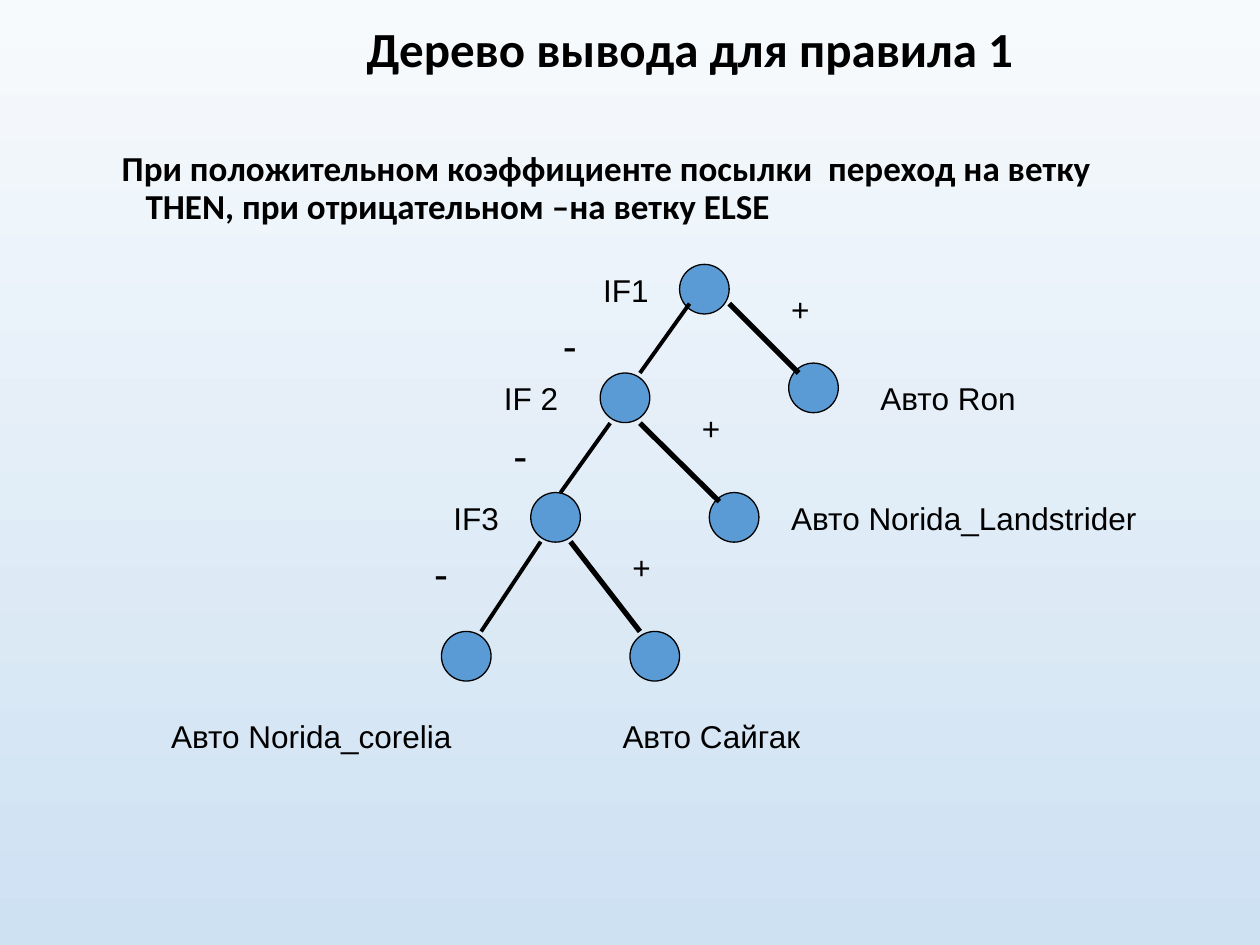
from dataclasses import dataclass

from lxml.etree import SubElement
from pptx import Presentation
from pptx.dml.color import RGBColor
from pptx.enum.shapes import MSO_CONNECTOR, MSO_SHAPE
from pptx.enum.text import MSO_ANCHOR, MSO_AUTO_SIZE, PP_ALIGN
from pptx.oxml.ns import qn
from pptx.slide import Slide
from pptx.util import Cm, Pt

COLORS = {
    "sky_top": "F7FAFD",
    "sky_bottom": "CEE1F2",
    "node": "5B9BD5",
    "ink": "000000",
}
NODE_SIZE = 1
THEN_WIDTH, ELSE_WIDTH = 3, 2.25


@dataclass(frozen=True)
class Node:
    left: float
    top: float


@dataclass(frozen=True)
class Branch:
    x1: float
    y1: float
    x2: float
    y2: float
    width: float


@dataclass(frozen=True)
class Label:
    text: str
    left: float
    top: float
    width: float
    size: float = 18
    space_before: float = 11.2


def plus(left: float, top: float) -> Label:
    return Label("+", left, top, 1)


def minus(left: float, top: float) -> Label:
    return Label("-", left, top, 1.2, 24, 15)


NODES = [
    Node(13.7, 5.33),
    Node(12.1, 7.52),
    Node(10.7, 9.93),
    Node(8.9, 12.73),
    Node(15.9, 7.32),
    Node(12.7, 12.73),
    Node(14.3, 9.93),
]
BRANCHES = [
    Branch(14.7, 6.12, 16.1, 7.52, THEN_WIDTH),
    Branch(12.9, 8.53, 14.5, 10.11, THEN_WIDTH),
    Branch(11.5, 10.92, 12.9, 12.73, THEN_WIDTH),
    Branch(13.9, 6.12, 12.9, 7.52, ELSE_WIDTH),
    Branch(12.3, 8.53, 11.3, 9.93, ELSE_WIDTH),
    Branch(10.9, 10.92, 9.7, 12.73, ELSE_WIDTH),
]
LABELS = [
    Label("IF1", 11.91, 5.33, 1.6),
    Label("IF 2", 9.91, 7.52, 1.8),
    Label("IF3", 8.89, 9.93, 1.6),
    Label("Авто Norida_corelia", 3.2, 14.33, 7.3),
    Label("Авто Сайгак", 12.3, 14.33, 7.8),
    Label("Авто Norida_Landstrider", 15.7, 9.93, 8),
    Label("Авто Ron", 17.5, 7.52, 3.8),
    plus(15.7, 5.72),
    plus(13.9, 8.13),
    plus(12.5, 10.92),
    minus(11.1, 6.32),
    minus(10.1, 8.53),
    minus(8.5, 10.92),
]


def color(name: str) -> RGBColor:
    return RGBColor.from_string(COLORS[name])


def format_runs(paragraph, font: str, size: float, bold: bool = False) -> None:
    for run in paragraph.runs:
        run.font.name = font
        run.font.size = Pt(size)
        run.font.bold = bold
        run.font.color.rgb = color("ink")


def fill_placeholder(placeholder, text: str, box: tuple, size: float):
    placeholder.left, placeholder.top, placeholder.width, placeholder.height = map(Cm, box)
    frame = placeholder.text_frame
    frame.text = text
    frame.auto_size = MSO_AUTO_SIZE.NONE
    paragraph = frame.paragraphs[0]
    paragraph.line_spacing = 0.9
    format_runs(paragraph, "Calibri", size, True)
    return paragraph


def draw_background(slide: Slide) -> None:
    fill = slide.background.fill
    fill.gradient()
    fill.gradient_angle = 270
    for stop, name in zip(fill.gradient_stops, ("sky_top", "sky_bottom")):
        stop.color.rgb = color(name)


def draw_node(slide: Slide, node: Node) -> None:
    circle = slide.shapes.add_shape(
        MSO_SHAPE.OVAL, Cm(node.left), Cm(node.top), Cm(NODE_SIZE), Cm(NODE_SIZE)
    )
    circle.shadow.inherit = False
    circle.fill.solid()
    circle.fill.fore_color.rgb = color("node")
    circle.line.color.rgb = color("ink")
    circle.line.width = Pt(0.75)


def draw_branch(slide: Slide, branch: Branch) -> None:
    ends = map(Cm, (branch.x1, branch.y1, branch.x2, branch.y2))
    connector = slide.shapes.add_connector(MSO_CONNECTOR.STRAIGHT, *ends)
    connector.line.color.rgb = color("ink")
    connector.line.width = Pt(branch.width)
    SubElement(connector._element.spPr, qn("a:effectLst"))


def draw_label(slide: Slide, label: Label) -> None:
    height = 1.02 if label.size == 18 else 1.27
    box = slide.shapes.add_textbox(
        Cm(label.left), Cm(label.top), Cm(label.width), Cm(height)
    )
    frame = box.text_frame
    frame.word_wrap = True
    frame.auto_size = MSO_AUTO_SIZE.SHAPE_TO_FIT_TEXT
    frame.text = label.text
    paragraph = frame.paragraphs[0]
    paragraph.space_before = Pt(label.space_before)
    format_runs(paragraph, "Arial", label.size)


def main() -> None:
    deck = Presentation()
    deck.slide_width, deck.slide_height = Cm(25.4), Cm(19.05)
    slide = deck.slides.add_slide(deck.slide_layouts[1])
    draw_background(slide)

    heading = fill_placeholder(
        slide.shapes.title, "Дерево вывода для правила 1", (4.75, 0, 18.31, 2.08), 28
    )
    heading.alignment = PP_ALIGN.CENTER
    slide.shapes.title.text_frame.vertical_anchor = MSO_ANCHOR.MIDDLE

    rule = fill_placeholder(
        slide.placeholders[1],
        "При положительном коэффициенте посылки  переход на ветку THEN, "
        "при отрицательном –на ветку ELSE",
        (2.2, 2.92, 21.51, 13.69),
        20,
    )
    rule.space_before = Pt(7.5)
    properties = rule._p.get_or_add_pPr()
    properties.set("marL", str(Cm(0.48)))
    properties.set("indent", str(-Cm(0.48)))
    SubElement(properties, qn("a:buNone"))

    for node in NODES:
        draw_node(slide, node)
    for branch in BRANCHES:
        draw_branch(slide, branch)
    for label in LABELS:
        draw_label(slide, label)

    deck.save("out.pptx")


if __name__ == "__main__":
    main()
